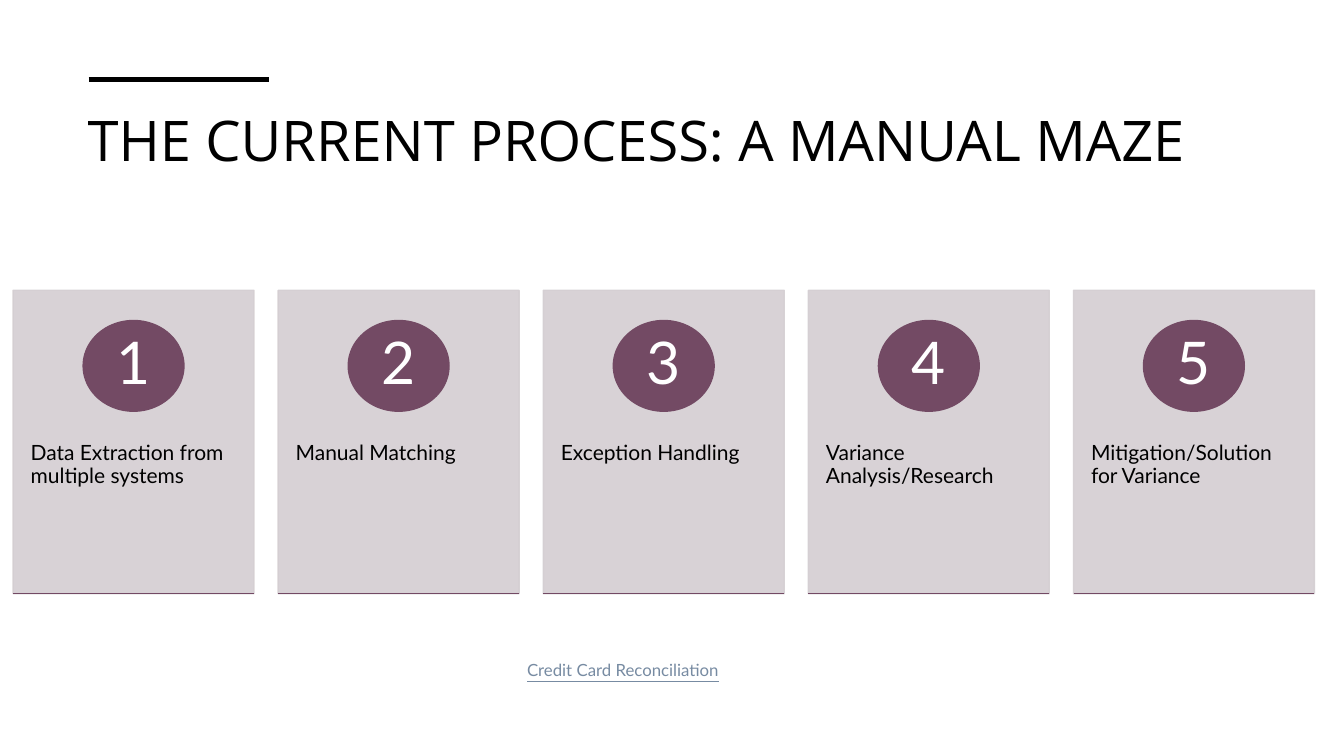
"""Build a slide showing the five steps of a manual reconciliation process."""
from pptx import Presentation
from pptx.dml.color import RGBColor
from pptx.enum import shapes, text
from pptx.oxml import ns, xmlchemy
from pptx.util import Pt

TITLE = "THE CURRENT PROCESS: A MANUAL MAZE"
STEPS = [
    "Data Extraction from multiple systems",
    "Manual Matching",
    "Exception Handling",
    "Variance Analysis/Research",
    "Mitigation/Solution for Variance",
]
CAPTION = "Credit Card Reconciliation"

BLACK, WHITE, PLUM, MIST, SLATE = "000000", "FFFFFF", "734A64", "D4CED2", "778BA2"
CARD_LEFT, CARD_TOP, CARD_WIDTH, CARD_HEIGHT = 9.36, 207.36, 172.08, 216.72
CARD_STEP = 189.36
BADGE_WIDTH, BADGE_HEIGHT = 72, 64.8
NUMBER_WIDTH, NUMBER_HEIGHT = 51, 46


def color(value):
    return RGBColor.from_string(value)


def box(left, top, width, height):
    return [Pt(value) for value in (left, top, width, height)]


def write(shape, content, *, size, font="Lato", fill=BLACK, insets=(7.2, 3.6),
          anchor=text.MSO_ANCHOR.TOP, align=text.PP_ALIGN.LEFT, spacing=1.0,
          underline=False):
    frame = shape.text_frame
    frame.word_wrap = True
    frame.auto_size = text.MSO_AUTO_SIZE.NONE
    frame.vertical_anchor = anchor
    frame.margin_left = frame.margin_right = Pt(insets[0])
    frame.margin_top = frame.margin_bottom = Pt(insets[1])
    paragraph = frame.paragraphs[0]
    paragraph.alignment = align
    paragraph.line_spacing = spacing
    run = paragraph.add_run()
    run.text = content
    run.font.name = font
    run.font.size = Pt(size)
    run.font.bold = False
    run.font.underline = underline
    run.font.color.rgb = color(fill)


def add_filled(parent, kind, bounds, fill, opacity=100):
    shape = parent.shapes.add_shape(kind, *box(*bounds))
    shape.shadow.inherit = False
    shape.fill.solid()
    shape.fill.fore_color.rgb = color(fill)
    shape.line.color.rgb = color(fill)
    shape.line.width = Pt(1)
    if opacity < 100:
        for tone in shape._element.spPr.iter(ns.qn("a:srgbClr")):
            alpha = xmlchemy.OxmlElement("a:alpha")
            alpha.set("val", str(opacity * 1000))
            tone.append(alpha)


def add_rule(parent, left, top, width, fill, weight):
    rule = parent.shapes.add_connector(
        shapes.MSO_CONNECTOR.STRAIGHT, Pt(left), Pt(top), Pt(left + width), Pt(top))
    rule.line.color.rgb = color(fill)
    rule.line.width = Pt(weight)
    rule._element.spPr.append(xmlchemy.OxmlElement("a:effectLst"))


def add_card(slide, index, step):
    card = slide.shapes.add_group_shape()
    left = CARD_LEFT + index * CARD_STEP
    center = left + CARD_WIDTH / 2
    middle = CARD_TOP + 54
    add_filled(card, shapes.MSO_SHAPE.RECTANGLE,
               (left, CARD_TOP, CARD_WIDTH, CARD_HEIGHT), MIST, opacity=90)
    label = card.shapes.add_textbox(*box(left, CARD_TOP + 82.8, CARD_WIDTH, 130.3))
    write(label, step, size=15, insets=(12.5, 25.9), spacing=0.9)
    add_filled(card, shapes.MSO_SHAPE.OVAL,
               (center - BADGE_WIDTH / 2, middle - BADGE_HEIGHT / 2,
                BADGE_WIDTH, BADGE_HEIGHT), PLUM)
    number = card.shapes.add_textbox(
        *box(center - NUMBER_WIDTH / 2, middle - NUMBER_HEIGHT / 2,
             NUMBER_WIDTH, NUMBER_HEIGHT))
    write(number, str(index + 1), size=42, fill=WHITE, insets=(5, 0.7), spacing=0.9,
          anchor=text.MSO_ANCHOR.MIDDLE, align=text.PP_ALIGN.CENTER)
    add_rule(card, left, CARD_TOP + CARD_HEIGHT, CARD_WIDTH, PLUM, 1)


def main():
    presentation = Presentation()
    presentation.slide_width, presentation.slide_height = Pt(960), Pt(540)
    slide = presentation.slides.add_slide(presentation.slide_layouts[5])

    add_rule(slide, 63.4, 56.9, 128.9, BLACK, 3.5)
    title = slide.shapes.title
    title.left, title.top, title.width, title.height = box(55.4, 72, 850.3, 82.8)
    write(title, TITLE, size=40, font="Open Sans")

    for index, step in enumerate(STEPS):
        add_card(slide, index, step)

    caption = slide.shapes.add_textbox(*box(369.4, 468, 184.3, 21.6))
    write(caption, CAPTION, size=12, fill=SLATE, underline=True)
    presentation.save("out.pptx")


if __name__ == "__main__":
    main()
